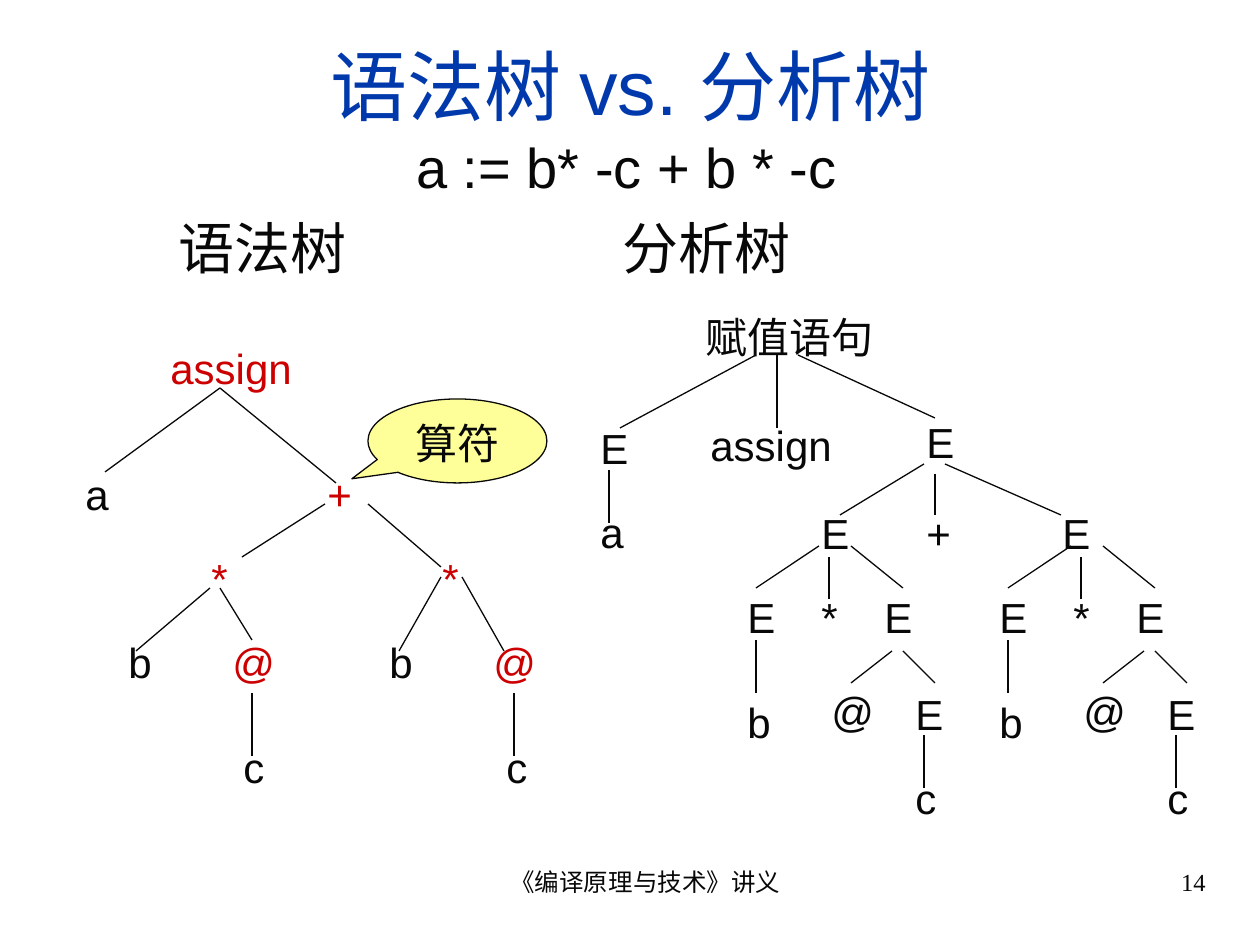
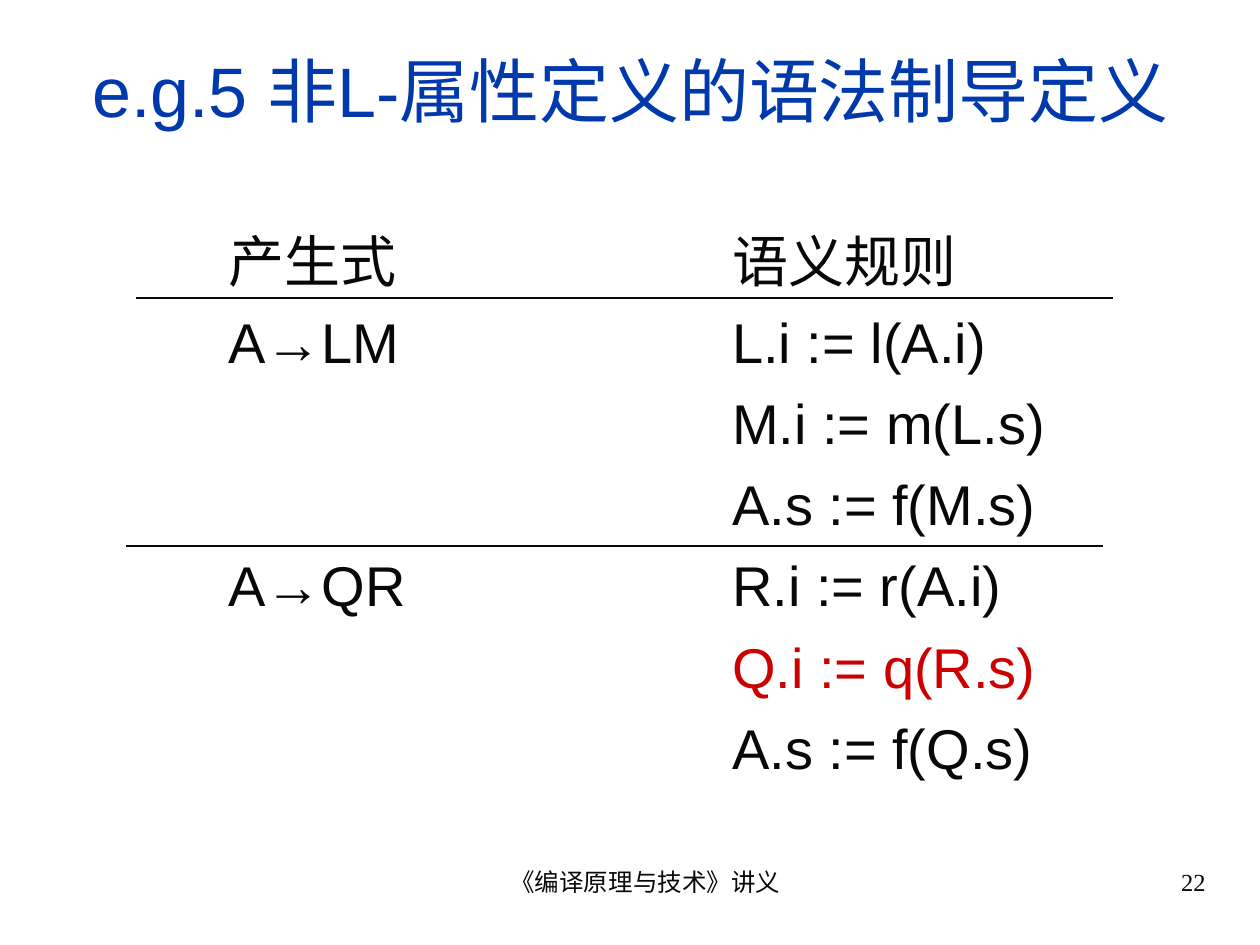
from lxml.etree import SubElement
from pptx import Presentation
from pptx.dml.color import RGBColor
from pptx.enum.shapes import MSO_CONNECTOR as Connector, MSO_SHAPE as Preset
from pptx.enum.text import MSO_ANCHOR as Anchor, MSO_AUTO_SIZE as AutoSize, PP_ALIGN as Align
from pptx.oxml.ns import qn
from pptx.util import Emu, Pt

SCALE = 914400 // 126
COLOURS = {"ink": "080808", "title": "0039AC", "accent": "CC0000", "callout": "FFFF99"}
BODY_FONT, FOOTER_FONT = "Arial", "Times New Roman"
NODE_HEIGHT = 63
PRODUCT_STEP = 252

SYNTAX_OPERATORS = [
    ("assign", 158, 336, 168), ("+", 315, 462, 84),
    ("*", 199, 546, 84), ("@", 220, 630, 84),
    ("*", 430, 546, 84), ("@", 481, 630, 84),
]
SYNTAX_OPERANDS = [
    ("a", 73, 462, 84), ("b", 116, 630, 84), ("c", 231, 735, 84),
    ("b", 377, 630, 84), ("c", 494, 735, 84),
]
SYNTAX_EDGES = [
    (220, 388, 105, 472), (220, 388, 336, 483),
    (325, 504, 242, 557), (368, 504, 441, 567),
    (210, 588, 136, 651), (220, 588, 252, 640), (252, 693, 252, 756),
    (441, 577, 399, 651), (462, 577, 504, 651), (514, 693, 514, 756),
]
PARSE_NODES = [
    ("赋值语句", 693, 305, 242), ("assign", 698, 413, 163),
    ("E", 588, 416, 73), ("a", 588, 500, 73), ("E", 914, 410, 84),
    ("E", 809, 501, 73), ("+", 914, 501, 73), ("E", 1050, 501, 73),
]
PARSE_EDGES = [
    (756, 355, 620, 428), (777, 355, 777, 428), (798, 355, 935, 418),
    (609, 470, 609, 523), (924, 464, 840, 515),
    (935, 474, 935, 515), (945, 464, 1061, 515),
]
PRODUCT_NODES = [
    ("E", 735, 585, 73), ("*", 809, 585, 73), ("E", 872, 585, 73),
    ("b", 735, 690, 73), ("@", 819, 679, 73), ("E", 903, 682, 73),
    ("c", 903, 766, 73),
]
PRODUCT_EDGES = [
    (819, 546, 756, 588), (829, 557, 829, 599), (851, 546, 903, 588),
    (756, 640, 756, 693), (892, 651, 851, 683), (903, 651, 935, 683),
    (924, 735, 924, 788),
]
RULES = [
    ("产生式", "语义规则"),
    ("A→LM", "L.i := l(A.i)"),
    ("", "M.i := m(L.s)"),
    ("", "A.s := f(M.s)"),
    ("A→QR", "R.i := r(A.i)"),
    ("", "Q.i := q(R.s)"),
    ("", "A.s := f(Q.s)"),
]
WRONG_RULE = 5


def px(*lengths):
    return [Emu(length * SCALE) for length in lengths]


def rgb(name):
    return RGBColor.from_string(COLOURS[name])


def style(para, size, colour="ink", font=BODY_FONT, align=Align.LEFT):
    para.alignment = align
    for span in para.runs:
        span.font.size = Pt(size)
        span.font.name = font
        span.font.color.rgb = rgb(colour)


def add_text(page, area, text, size, colour="ink", font=BODY_FONT, align=Align.LEFT):
    box = page.shapes.add_textbox(*px(*area))
    box.text_frame.word_wrap = True
    box.text_frame.text = text
    for para in box.text_frame.paragraphs:
        style(para, size, colour, font, align)
    return box


def add_title(page, text, size, height):
    box = add_text(page, (42, 32, 1177, height), text, size, "title", align=Align.CENTER)
    box.text_frame.vertical_anchor = Anchor.MIDDLE


def add_footer(page, number):
    area = (431, 861, 399, 66)
    box = add_text(page, area, "《编译原理与技术》讲义", 14, font=FOOTER_FONT, align=Align.CENTER)
    properties = box.text_frame.paragraphs[0]._p.get_or_add_pPr()
    properties.set("marL", str(30 * SCALE))
    add_text(page, (903, 861, 315, 66), str(number), 14, font=FOOTER_FONT, align=Align.RIGHT)


def set_tabs(para, stops):
    tabs = SubElement(para._p.get_or_add_pPr(), qn("a:tabLst"))
    for stop in stops:
        SubElement(tabs, qn("a:tab"), pos=str(stop * SCALE), algn="l")


def add_body(page, area, lines, stops):
    box = add_text(page, area, "\n".join(lines), 32)
    for para, positions in zip(box.text_frame.paragraphs, stops):
        para.space_before = Pt(8)
        set_tabs(para, positions)
    return box


def add_line(page, ends, width=0.74):
    line = page.shapes.add_connector(Connector.STRAIGHT, *px(*ends))
    line.line.color.rgb = rgb("ink")
    line.line.width = Pt(width)
    SubElement(line._element.spPr, qn("a:effectLst"))


def add_tree(page, nodes, edges, colour="ink", shift=0):
    for text, left, top, width in nodes:
        box = add_text(page, (left + shift, top, width, NODE_HEIGHT), text, 24, colour)
        box.text_frame.auto_size = AutoSize.SHAPE_TO_FIT_TEXT
    for x1, y1, x2, y2 in edges:
        add_line(page, (x1 + shift, y1, x2 + shift, y2))


def add_callout(page, area, text):
    callout = page.shapes.add_shape(Preset.OVAL_CALLOUT, *px(*area))
    callout.shadow.inherit = False
    callout.adjustments[0], callout.adjustments[1] = -0.59, 0.45
    callout.fill.solid()
    callout.fill.fore_color.rgb = rgb("callout")
    callout.line.color.rgb = rgb("ink")
    callout.line.width = Pt(0.74)
    callout.text_frame.text = text
    callout.text_frame.vertical_anchor = Anchor.TOP
    style(callout.text_frame.paragraphs[0], 24, align=Align.CENTER)


def build_trees(page):
    add_body(
        page, (42, 126, 1177, 693),
        ["\ta := b* -c + b * -c", "\t语法树\t分析树"],
        [(362,), (124, 568)],
    )
    add_title(page, "语法树 vs. 分析树", 44, 105)
    add_tree(page, SYNTAX_OPERATORS, SYNTAX_EDGES, "accent")
    add_tree(page, SYNTAX_OPERANDS, [])
    add_tree(page, PARSE_NODES, PARSE_EDGES)
    for shift in (0, PRODUCT_STEP):
        add_tree(page, PRODUCT_NODES, PRODUCT_EDGES, shift=shift)
    add_callout(page, (368, 399, 179, 84), "算符")
    add_footer(page, 14)


def build_rules(page):
    add_title(page, "e.g.5 非L-属性定义的语法制导定义", 40, 116)
    lines = [f"\t{production}\t{rule}" for production, rule in RULES]
    box = add_body(page, (42, 220, 1177, 620), lines, [(174, 678)] * len(lines))
    style(box.text_frame.paragraphs[WRONG_RULE], 32, "accent")
    for left, top in ((126, 546), (136, 298)):
        add_line(page, (left, top, left + 977, top), 0.99)
    add_footer(page, 22)


def main():
    deck = Presentation()
    deck.slide_width, deck.slide_height = px(1260, 945)
    for build in (build_trees, build_rules):
        build(deck.slides.add_slide(deck.slide_layouts[6]))
    deck.save("out.pptx")


main()
